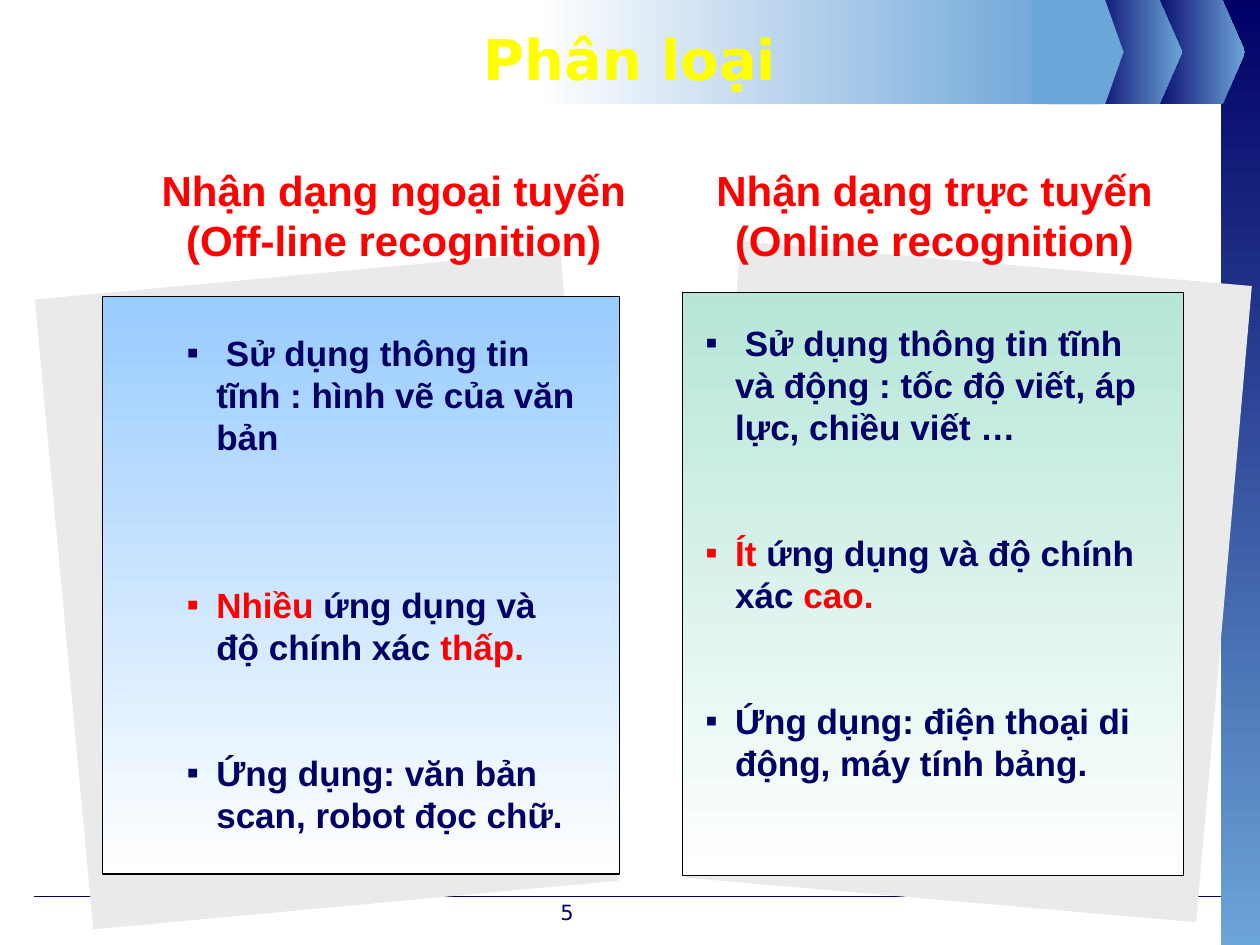
from lxml.etree import SubElement
from pptx import Presentation
from pptx.dml.color import RGBColor
from pptx.enum.shapes import MSO_CONNECTOR as CONN, MSO_SHAPE as SHAPE
from pptx.enum.text import MSO_ANCHOR as ANCHOR, PP_ALIGN as ALIGN
from pptx.oxml.ns import qn
from pptx.util import Pt

NAVY = RGBColor(0x00, 0x00, 0x66)
SKY = RGBColor(0x6C, 0xA5, 0xD8)
WHITE = RGBColor(0xFF, 0xFF, 0xFF)
BLACK = RGBColor(0x00, 0x00, 0x00)
YELLOW = RGBColor(0xFF, 0xFF, 0x00)
RED = RGBColor(0xFF, 0x00, 0x00)
GREY = RGBColor(0xEA, 0xEA, 0xEA)
BLUE = RGBColor(0x99, 0xCC, 0xFF)
MINT = RGBColor(0xB6, 0xE6, 0xD8)

BODY_FONT = "Arial"
UI_FONT = "DejaVu Sans"
RIGHTWARD, DOWNWARD = 0, 270
HEADER_H = 59.5
HANG = 17


def paint(s, colors, angle=RIGHTWARD, line=None):
    """Fill with one colour, or with a gradient between two."""
    s.shadow.inherit = False
    if len(colors) == 1:
        s.fill.solid()
        s.fill.fore_color.rgb = colors[0]
    else:
        s.fill.gradient()
        s.fill.gradient_angle = angle
        for stop, color in zip(s.fill.gradient_stops, colors):
            stop.color.rgb = color
    if line is None:
        s.line.fill.background()
    else:
        s.line.color.rgb = line
        s.line.width = Pt(0.75)


def add_box(shapes, box, colors, angle=RIGHTWARD, line=None, rotation=0):
    s = shapes.add_shape(SHAPE.RECTANGLE, *map(Pt, box))
    s.rotation = rotation
    paint(s, colors, angle, line)


def add_pointer(shapes, left, shoulder, tip, colors):
    """Draw a header block that points to the right."""
    builder = shapes.build_freeform(Pt(left), Pt(HEADER_H))
    corners = [(shoulder, HEADER_H), (tip, HEADER_H / 2), (shoulder, 0), (left, 0)]
    builder.add_line_segments([(Pt(x), Pt(y)) for x, y in corners])
    paint(builder.convert_to_shape(), colors)


def add_rule(shapes, x1, x2, y):
    s = shapes.add_connector(CONN.STRAIGHT, Pt(x1), Pt(y), Pt(x2), Pt(y))
    s.line.color.rgb = NAVY
    s.line.width = Pt(0.75)
    SubElement(s._element.spPr, qn("a:effectLst"))


def add_frame(shapes, box, anchor=ANCHOR.TOP):
    tf = shapes.add_textbox(*map(Pt, box)).text_frame
    tf.word_wrap = True
    tf.vertical_anchor = anchor
    return tf


def add_run(p, text, size, color, font=BODY_FONT, bold=True):
    r = p.add_run()
    r.text = text
    r.font.name = font
    r.font.size = Pt(size)
    r.font.bold = bold
    r.font.color.rgb = color


def add_label(shapes, box, text, size, color, font=BODY_FONT, bold=True,
              anchor=ANCHOR.TOP, spacing=None):
    p = add_frame(shapes, box, anchor).paragraphs[0]
    p.alignment = ALIGN.CENTER
    if spacing:
        p.line_spacing = Pt(spacing)
    add_run(p, text, size, color, font, bold)


def set_bullet(p, margin, color):
    pPr = p._p.get_or_add_pPr()
    pPr.set("marL", str(Pt(margin)))
    pPr.set("indent", str(-Pt(HANG)))
    clr = SubElement(pPr, qn("a:buClr"))
    SubElement(clr, qn("a:srgbClr"), val=str(color))
    SubElement(pPr, qn("a:buFont"), typeface=BODY_FONT)
    SubElement(pPr, qn("a:buChar"), char="▪")


def add_bullets(shapes, box, margin, items):
    """Each item is (space before, runs); the first run colours the bullet."""
    tf = add_frame(shapes, box)
    for i, (before, runs) in enumerate(items):
        p = tf.add_paragraph() if i else tf.paragraphs[0]
        set_bullet(p, margin, runs[0][1])
        p.line_spacing = Pt(24)
        p.space_before = Pt(before)
        for text, color in runs:
            add_run(p, text, 20, color)


def add_card(shapes, back, tilt, front, color):
    """Group a tilted grey sheet with the panel lying on it."""
    group = shapes.add_group_shape().shapes
    add_box(group, back, [GREY], rotation=tilt)
    add_box(group, front, [color, WHITE], DOWNWARD, BLACK)


def main():
    prs = Presentation()
    prs.slide_width, prs.slide_height = Pt(720), Pt(540)
    shapes = prs.slides.add_slide(prs.slide_layouts[6]).shapes

    # Frame: bottom rule, side strip, header band
    add_rule(shapes, 19.5, 697.5, 512.5)
    add_box(shapes, (697.5, 0, 22.5, 542), [NAVY, SKY], DOWNWARD)
    for left in (657.5, 621.5):
        add_pointer(shapes, left, left + 41, left + 54, [NAVY, SKY])
    add_pointer(shapes, 598.5, 631.5, 642, [SKY])
    add_box(shapes, (306, 0, 301, HEADER_H), [WHITE, SKY])
    add_pointer(shapes, 589, 628.5, 642, [SKY])

    # Title
    add_label(shapes, (0, 0, 720, 66), "Phân loại", 32, YELLOW, UI_FONT,
              anchor=ANCHOR.MIDDLE)

    # Cards
    add_card(shapes, (36, 156.5, 301.5, 361.5), 354.7, (58.5, 169.5, 295.5, 330), BLUE)
    add_card(shapes, (407, 150, 293, 365), 5, (390, 167, 286.5, 333.5), MINT)

    # Column headings
    for left, width, text in (
            (72, 306, "Nhận dạng ngoại tuyến (Off-line recognition)"),
            (396, 276, "Nhận dạng trực tuyến (Online recognition)")):
        add_label(shapes, (left, 90, width, 65), text, 24, RED, spacing=29)

    # Column contents
    shared = (" ứng dụng và độ chính xác ", NAVY)
    add_bullets(shapes, (66, 186, 276, 319.5), 50.5, [
        (0, [(" Sử dụng thông tin tĩnh : hình vẽ của văn bản", NAVY)]),
        (72, [("Nhiều", RED), shared, ("thấp.", RED)]),
        (48, [("Ứng dụng: văn bản scan, robot đọc chữ.", NAVY)]),
    ])
    add_bullets(shapes, (396, 180, 276, 295), HANG, [
        (0, [(" Sử dụng thông tin tĩnh và động : tốc độ viết, áp lực, chiều viết …", NAVY)]),
        (48, [("Ít", RED), shared, ("cao.", RED)]),
        (48, [("Ứng dụng: điện thoại di động, máy tính bảng.", NAVY)]),
    ])

    # Page number
    add_label(shapes, (240, 510.5, 168, 18.5), "5", 12, NAVY, UI_FONT, bold=False)

    prs.save("out.pptx")


if __name__ == "__main__":
    main()
